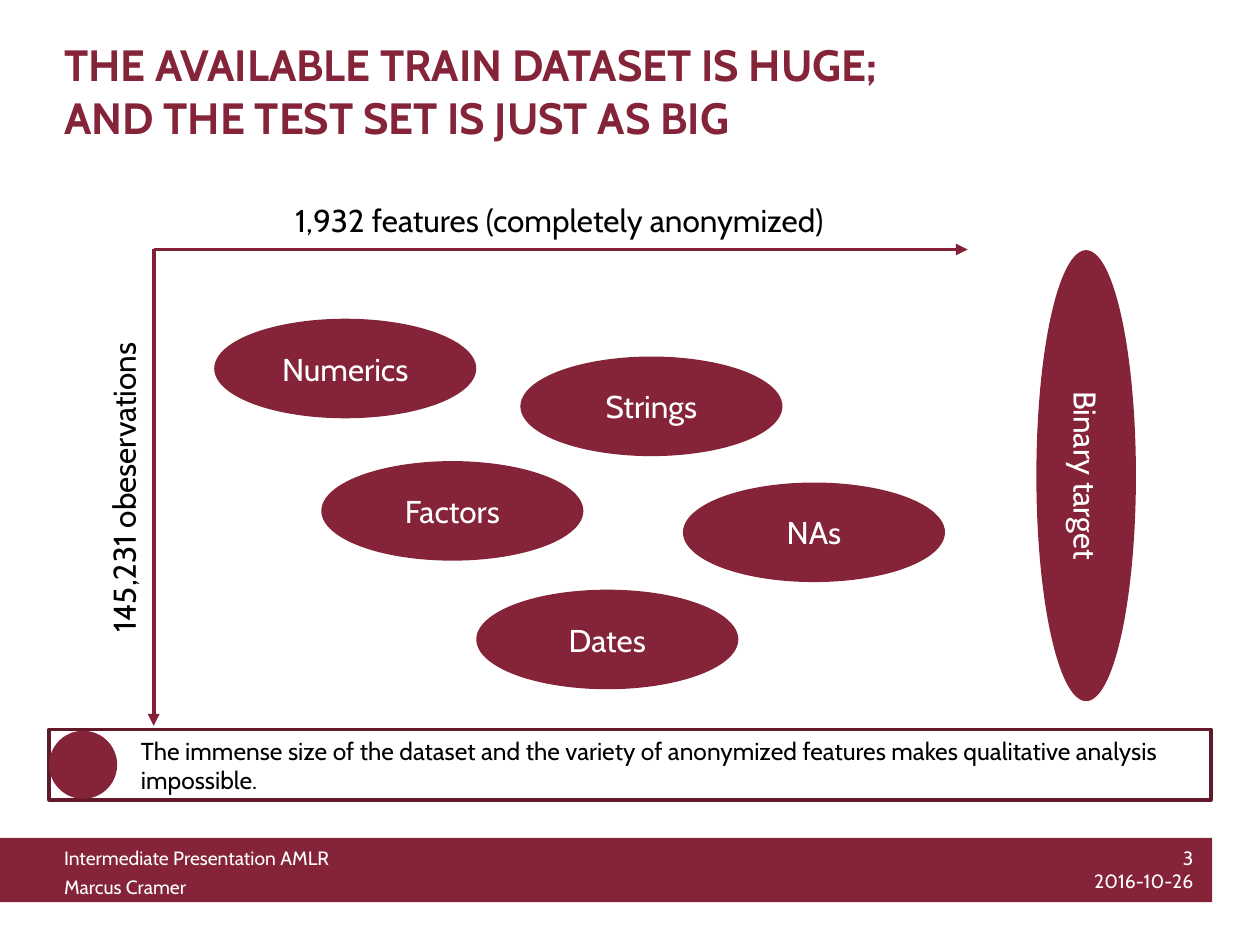
import pptx
import pptx.util
import pptx.dml.color
import pptx.enum.shapes
import pptx.enum.text
import pptx.oxml
import pptx.oxml.ns
from dataclasses import dataclass

Inches, Pt = pptx.util.Inches, pptx.util.Pt
RGB = pptx.dml.color.RGBColor.from_string
SHAPE = pptx.enum.shapes.MSO_SHAPE
ALIGN = pptx.enum.text.PP_ALIGN
ANCHOR = pptx.enum.text.MSO_ANCHOR


@dataclass(frozen=True)
class Theme:
    font: str = "Cabin"
    wine: str = "852339"
    arrow: str = "842036"
    frame: str = "621A2A"
    white: str = "FFFFFF"
    black: str = "000000"
    title: int = 25
    label: int = 18
    note: int = 14
    footer: int = 11


THEME = Theme()

TITLE = "THE AVAILABLE TRAIN DATASET IS HUGE; AND THE TEST SET IS JUST AS BIG"
FEATURES = "1,932 features (completely anonymized)"
OBSERVATIONS = "145,231 obeservations"
TARGET = "Binary target"
TAKEAWAY = ("The immense size of the dataset and the variety of anonymized "
            "features makes qualitative analysis impossible.")
FOOTER_LEFT = ["Intermediate Presentation AMLR", "Marcus Cramer"]
FOOTER_RIGHT = ["3\v2016-10-26"]  # \v is a line break inside the paragraph

TYPE_SIZE = (2.08, 0.79)
DATA_TYPES = [  # label, left, top
    ("Numerics", 1.7, 2.53),
    ("Factors", 2.55, 3.66),
    ("Strings", 4.13, 2.83),
    ("Dates", 3.78, 4.68),
    ("NAs", 5.42, 3.83),
]
ORIGIN = (1.22, 1.98)
AXIS_ENDS = [(1.22, 5.76), (7.68, 1.98)]


def write(shape, lines, size, color, align=ALIGN.LEFT, after=0, bold=False):
    frame = shape.text_frame
    frame.word_wrap = True
    frame.text = "\n".join(lines)
    for para in frame.paragraphs:
        para.alignment = align
        para.space_after = Pt(after)
        font = para.font
        font.name, font.size, font.bold = THEME.font, Pt(size), bold
        font.color.rgb = RGB(color)


def add_text(page, box, lines, size, color, **style):
    text_box = page.shapes.add_textbox(*map(Inches, box))
    write(text_box, lines, size, color, **style)
    return text_box


def add_solid(page, kind, box, label=None):
    shape = page.shapes.add_shape(kind, *map(Inches, box))
    shape.shadow.inherit = False
    shape.fill.solid()
    shape.fill.fore_color.rgb = RGB(THEME.wine)
    shape.line.fill.background()
    if label:
        shape.text_frame.vertical_anchor = ANCHOR.MIDDLE
        write(shape, [label], THEME.label, THEME.white, align=ALIGN.CENTER)
    return shape


def add_arrow(page, start, end):
    arrow = page.shapes.add_connector(
        pptx.enum.shapes.MSO_CONNECTOR.STRAIGHT, *map(Inches, start + end))
    arrow.line.color.rgb = RGB(THEME.arrow)
    arrow.line.width = Pt(2.25)
    qn = pptx.oxml.ns.qn
    properties = arrow._element.spPr
    head = properties.find(qn("a:ln")).makeelement(qn("a:tailEnd"), {"type": "triangle"})
    properties.find(qn("a:ln")).append(head)
    properties.append(properties.makeelement(qn("a:effectLst"), {}))


def add_footer(page):
    add_solid(page, SHAPE.RECTANGLE, (0, 6.65, 9.62, 0.51))
    add_text(page, (0.41, 6.67, 4.51, 0.51), FOOTER_LEFT,
             THEME.footer, THEME.white, after=3)
    add_text(page, (8.23, 6.67, 1.34, 0.47), FOOTER_RIGHT,
             THEME.footer, THEME.white, align=ALIGN.RIGHT, after=3)


def add_title(page):
    title = page.shapes.title
    title.left, title.top, title.width, title.height = map(
        Inches, (0.41, 0.25, 7.11, 0.53))
    title.text_frame.vertical_anchor = ANCHOR.TOP
    title.text_frame.auto_size = pptx.enum.text.MSO_AUTO_SIZE.NONE
    write(title, [TITLE], THEME.title, THEME.wine, bold=True)


def add_dataset(page):
    for end in AXIS_ENDS:
        add_arrow(page, ORIGIN, end)
    add_text(page, (1.21, 1.55, 6.46, 0.4), [FEATURES],
             THEME.label, THEME.black, align=ALIGN.CENTER)
    rows = add_text(page, (-0.91, 3.67, 3.78, 0.4), [OBSERVATIONS],
                    THEME.label, THEME.black, align=ALIGN.CENTER)
    rows.rotation = 270
    target = add_solid(page, SHAPE.OVAL, (6.83, 3.38, 3.58, 0.79), TARGET)
    target.rotation = 90
    for label, left, top in DATA_TYPES:
        add_solid(page, SHAPE.OVAL, (left, top) + TYPE_SIZE, label)


def add_takeaway(page):
    border = page.shapes.add_shape(
        SHAPE.RECTANGLE, *map(Inches, (0.39, 5.79, 9.22, 0.56)))
    border.shadow.inherit = False
    border.fill.background()
    border.line.color.rgb = RGB(THEME.frame)
    border.line.width = Pt(2)
    add_solid(page, SHAPE.OVAL, (0.39, 5.8, 0.54, 0.54))
    add_text(page, (1.02, 5.79, 8.58, 0.57), [TAKEAWAY], THEME.note, THEME.black)


def main():
    deck = pptx.Presentation()
    deck.slide_width, deck.slide_height = Inches(10), Inches(7.5)
    page = deck.slides.add_slide(deck.slide_layouts.get_by_name("Title Only"))
    add_footer(page)
    add_title(page)
    add_dataset(page)
    add_takeaway(page)
    deck.save("out.pptx")


if __name__ == "__main__":
    main()
